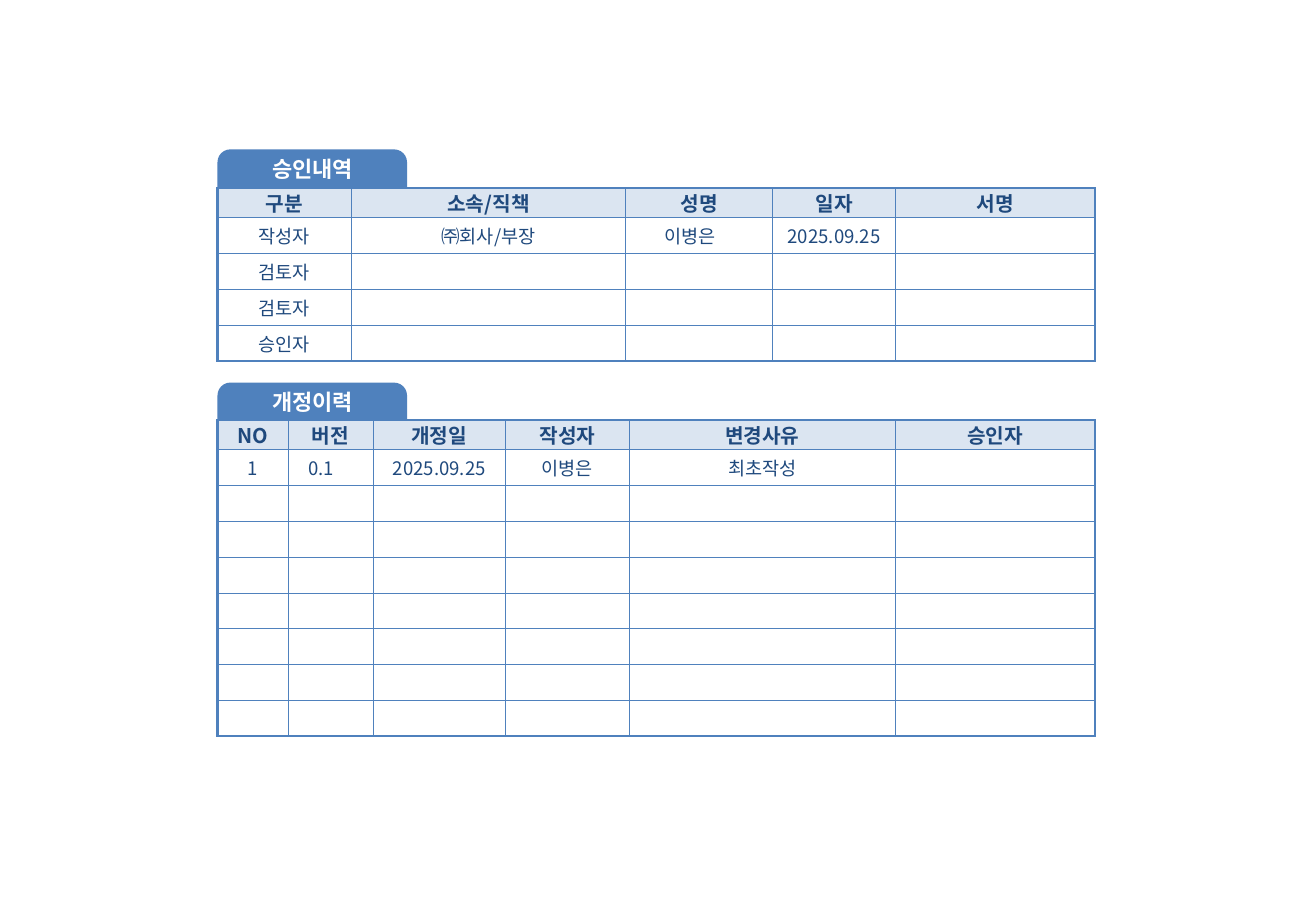
from lxml.etree import SubElement
from pptx import Presentation
from pptx.dml.color import RGBColor
from pptx.enum.shapes import MSO_SHAPE as Shape
from pptx.enum.text import MSO_ANCHOR as Anchor, PP_ALIGN as Align
from pptx.oxml.ns import qn
from pptx.util import Inches, Pt

BLUE = RGBColor(0x4F, 0x81, 0xBD)
PALE = RGBColor(0xDB, 0xE5, 0xF1)
NAVY = RGBColor(0x1F, 0x49, 0x7D)
WHITE = RGBColor(0xFF, 0xFF, 0xFF)
FONT = "Noto Sans CJK KR"
LEFT = 1.79
TABLE_WIDTH = 7.22
TAB_WIDTH, TAB_HEIGHT = 1.56, 0.31
HEADER_HEIGHT = 0.22

SECTIONS = [
    {
        "title": "승인내역", "tab_top": 1.23, "table_top": 1.55, "height": 1.4,
        "widths": [1.1, 2.26, 1.21, 1.01, 1.64],
        "rows": [
            ["구분", "소속/직책", "성명", "일자", "서명"],
            ["작성자", "㈜회사/부장", "이병은　", "2025.09.25", ""],
            ["검토자", "", "", "", ""],
            ["검토자", "", "", "", ""],
            ["승인자", "", "", "", ""],
        ],
    },
    {
        "title": "개정이력", "tab_top": 3.15, "table_top": 3.46, "height": 2.58,
        "widths": [0.58, 0.7, 1.09, 1.02, 2.19, 1.64],
        "rows": [
            ["NO", "버전", "개정일", "작성자", "변경사유", "승인자"],
            ["1", "0.1　", "2025.09.25", "이병은", "최초작성", ""],
        ] + [[""] * 6] * 7,
    },
]


def write_text(frame, text, size=11, color=NAVY, bold=False):
    para = frame.paragraphs[0]
    para.alignment = Align.CENTER
    if not text:
        SubElement(para._p, qn("a:endParaRPr"), sz=str(size * 100))
        return
    span = para.add_run()
    span.text = text
    span.font.size = Pt(size)
    span.font.bold = bold
    span.font.color.rgb = color
    span.font.name = FONT
    SubElement(span.font._element, qn("a:ea"), typeface=FONT)


def set_border(cell, side, width):
    line = SubElement(cell._tc.get_or_add_tcPr(), qn(f"a:ln{side}"), w=str(Pt(width)))
    fill = SubElement(line, qn("a:solidFill"))
    SubElement(fill, qn("a:srgbClr"), val=str(BLUE))


deck = Presentation()
deck.slide_width = Inches(10.83)
deck.slide_height = Inches(7.5)
page = deck.slides.add_slide(deck.slide_layouts[6])

for section in SECTIONS:
    rows, widths = section["rows"], section["widths"]
    last_row, last_col = len(rows) - 1, len(widths) - 1
    table = page.shapes.add_table(
        len(rows), len(widths), Inches(LEFT), Inches(section["table_top"]),
        Inches(TABLE_WIDTH), Inches(section["height"])).table
    table.first_row = False
    table.horz_banding = False
    for column, width in zip(table.columns, widths):
        column.width = Inches(width)
    body_height = (section["height"] - HEADER_HEIGHT) / last_row
    for r, texts in enumerate(rows):
        header = r == 0
        table.rows[r].height = Inches(HEADER_HEIGHT if header else body_height)
        for c, text in enumerate(texts):
            cell = table.cell(r, c)
            cell.margin_left = cell.margin_right = 0
            cell.margin_top = cell.margin_bottom = 0
            cell.vertical_anchor = Anchor.MIDDLE
            outer_sides = {"L": c == 0, "R": c == last_col, "T": header, "B": r == last_row}
            for side, outer in outer_sides.items():
                set_border(cell, side, 1.5 if outer else 0.5)
            if header:
                cell.fill.solid()
                cell.fill.fore_color.rgb = PALE
            else:
                cell.fill.background()
            write_text(cell.text_frame, text, size=12 if header else 11, bold=header)

    tab = page.shapes.add_shape(
        Shape.ROUND_2_SAME_RECTANGLE, Inches(LEFT), Inches(section["tab_top"]),
        Inches(TAB_WIDTH), Inches(TAB_HEIGHT))
    tab.adjustments[0] = 0.34
    tab.adjustments[1] = 0
    tab.shadow.inherit = False
    tab.fill.solid()
    tab.fill.fore_color.rgb = BLUE
    tab.line.fill.background()
    frame = tab.text_frame
    frame.word_wrap = True
    frame.vertical_anchor = Anchor.MIDDLE
    frame.margin_left = frame.margin_right = Inches(0.04)
    frame.margin_top = 0
    frame.margin_bottom = Inches(0.02)
    write_text(frame, section["title"], size=13, color=WHITE, bold=True)

deck.save("out.pptx")
